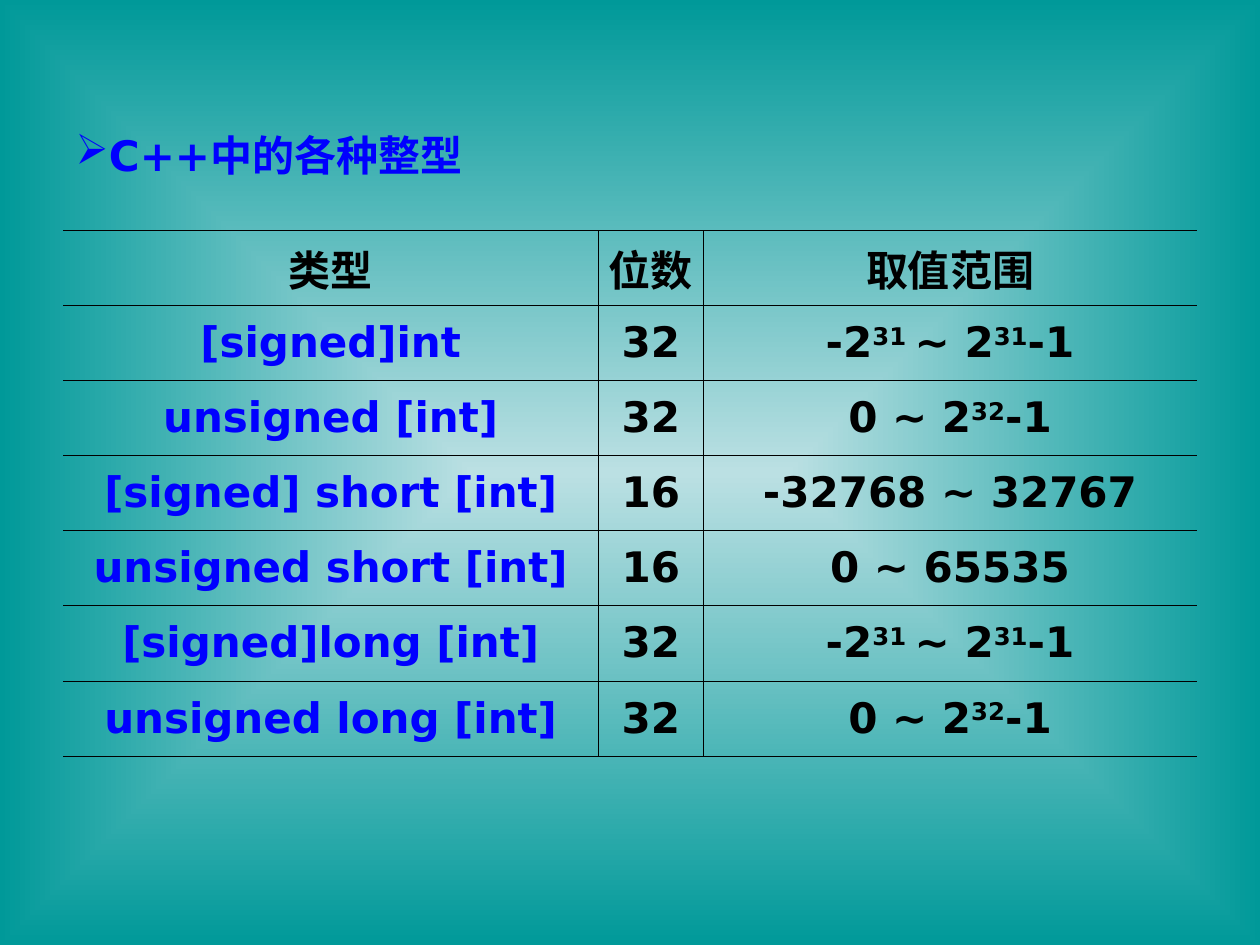
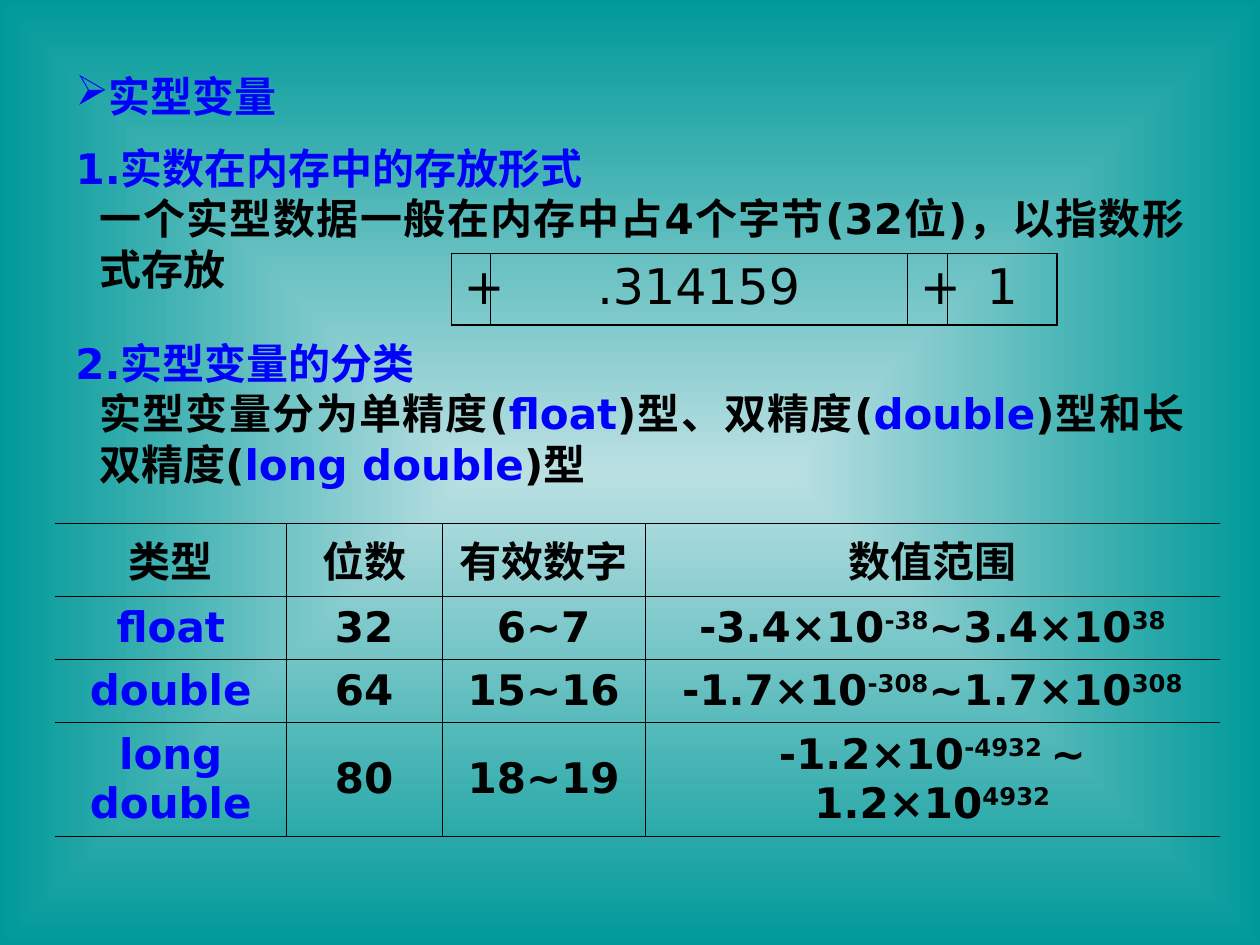
from lxml import etree
from pptx import Presentation
from pptx.dml.color import RGBColor
from pptx.enum import text as t
from pptx.oxml.ns import qn
from pptx.util import Inches, Pt

FONT = "DejaVu Sans"
BLACK, BLUE = "000000", "0000FF"
CENTER_TINT, EDGE_TEAL = "BBE0E3", "009999"
NO_STYLE_TABLE = "{2D5ABB26-0587-4C30-8999-92F81FD0307C}"


def rgb(value):
    return RGBColor.from_string(value)


def inches(box):
    return [Inches(length) for length in box]


def child(parent, tag, **attributes):
    return etree.SubElement(parent, qn(tag), attributes)


def style(paragraph, color=BLACK, size=24, bold=True):
    font = paragraph.font
    font.name, font.size, font.bold = FONT, Pt(size), bold
    font.color.rgb = rgb(color)


def paint_background(master):
    fill = master.background.fill
    fill.gradient()
    for stop, color in zip(fill.gradient_stops, (CENTER_TINT, EDGE_TEAL)):
        stop.color.rgb = rgb(color)
    gradient = master.element.find(".//" + qn("p:bg")).find(".//" + qn("a:gradFill"))
    gradient.remove(gradient.find(qn("a:lin")))
    path = child(gradient, "a:path", path="rect")
    child(path, "a:fillToRect", **dict.fromkeys("ltrb", "50000"))


def place(shape, box):
    shape.left, shape.top, shape.width, shape.height = inches(box)


def add_heading(slide, box, words):
    title = slide.shapes.title
    place(title, box)
    frame = title.text_frame
    frame.auto_size = t.MSO_AUTO_SIZE.NONE
    frame.vertical_anchor = t.MSO_ANCHOR.MIDDLE
    frame.text = words
    heading = frame.paragraphs[0]
    properties = heading._p.get_or_add_pPr()
    child(child(properties, "a:buClr"), "a:srgbClr", val=BLUE)
    child(properties, "a:buChar", char="➢")
    heading.alignment = t.PP_ALIGN.LEFT
    style(heading, BLUE)


def fill_section(frame, heading, detail):
    frame.word_wrap = True
    frame.auto_size = t.MSO_AUTO_SIZE.NONE
    lines = frame.paragraphs[0], frame.add_paragraph()
    for line, words, color, hanging in zip(lines, (heading, detail), (BLUE, BLACK), (-0.19, 0)):
        properties = line._p.get_or_add_pPr()
        properties.set("marL", str(Inches(0.19)))
        properties.set("indent", str(Inches(hanging)))
        child(properties, "a:buNone")
        line.space_before = Pt(0)
        line.alignment = t.PP_ALIGN.JUSTIFY
        style(line, color)
        for index, part in enumerate(words.split("|")):
            run = line.add_run()
            run.text = part
            if index % 2:
                run.font.color.rgb = rgb(BLUE)


def set_borders(cell, open_sides, width):
    properties = cell._tc.get_or_add_tcPr()
    for side in "LRTB":
        line = child(properties, "a:ln" + side, w=str(Pt(width)))
        if side in open_sides:
            child(line, "a:noFill")
        else:
            child(child(line, "a:solidFill"), "a:srgbClr", val=BLACK)


def write_powers(paragraph, words):
    for index, part in enumerate(words.split("^")):
        if part:
            run = paragraph.add_run()
            run.text = part
            if index % 2:
                run._r.get_or_add_rPr().set("baseline", "30000")


def new_table(slide, origin, columns, heights, rows):
    box = inches((*origin, sum(columns), sum(heights)))
    table = slide.shapes.add_table(len(rows), len(columns), *box).table
    table.first_row = table.horz_banding = False
    table._tbl.tblPr.find(qn("a:tableStyleId")).text = NO_STYLE_TABLE
    for column, width in zip(table.columns, columns):
        column.width = Inches(width)
    for row, height in zip(table.rows, heights):
        row.height = Inches(height)
    for row, values in zip(table.rows, rows):
        for cell, words in zip(row.cells, values):
            write_powers(cell.text_frame.paragraphs[0], words)
            cell.text_frame.paragraphs[0].alignment = t.PP_ALIGN.CENTER
    return table


def add_type_table(slide, origin, columns, heights, rows, side_inset):
    table = new_table(slide, origin, columns, heights, rows)
    last = len(columns) - 1
    for r, row in enumerate(table.rows):
        for c, cell in enumerate(row.cells):
            cell.margin_left = cell.margin_right = Inches(side_inset)
            cell.vertical_anchor = t.MSO_ANCHOR.MIDDLE
            set_borders(cell, {0: "L", last: "R"}.get(c, ""), 0.45)
            cell.fill.background()
            style(cell.text_frame.paragraphs[0], BLUE if r and c == 0 else BLACK)


def add_storage_strip(slide, origin, columns, height, parts):
    table = new_table(slide, origin, columns, [height], [parts])
    for cell in table.rows[0].cells:
        set_borders(cell, "", 0.75)
        cell.fill.background()
        style(cell.text_frame.paragraphs[0], size=28, bold=False)


def integer_slide(prs):
    slide = prs.slides.add_slide(prs.slide_layouts[5])
    add_heading(slide, (0.5, 0.98, 9, 0.5), "C++中的各种整型")
    signed_range, unsigned_range = "-2^31 ^~ 2^31^-1", "0 ~ 2^32^-1"
    rows = [
        ("类型", "位数", "取值范围"),
        ("[signed]int", "32", signed_range),
        ("unsigned [int]", "32", unsigned_range),
        ("[signed] short [int]", "16", "-32768 ~ 32767"),
        ("unsigned short [int]", "16", "0 ~ 65535"),
        ("[signed]long [int]", "32", signed_range),
        ("unsigned long [int]", "32", unsigned_range),
    ]
    heights = [4.17 / len(rows)] * len(rows)
    add_type_table(slide, (0.5, 1.83), (4.25, 0.83, 3.92), heights, rows, 0.04)


def real_slide(prs):
    slide = prs.slides.add_slide(prs.slide_layouts[1])
    add_heading(slide, (0.5, 0.51, 9, 0.5), "实型变量")
    storage = slide.placeholders[1]
    place(storage, (0.5, 1.08, 9, 1.3))
    fill_section(storage.text_frame, "1.实数在内存中的存放形式",
                 "一个实型数据一般在内存中占4个字节(32位)，以指数形式存放")
    classes = slide.shapes.add_textbox(*inches((0.5, 2.63, 9, 1.3)))
    fill_section(classes.text_frame, "2.实型变量的分类",
                 "实型变量分为单精度(|float|)型、双精度(|double|)型和长双精度(|long double|)型")
    rows = [
        ("类型", "位数", "有效数字", "数值范围"),
        ("float", "32", "6~7", "-3.4×10^-38^~3.4×10^38"),
        ("double", "64", "15~16", "-1.7×10^-308^~1.7×10^308"),
        ("long double", "80", "18~19", "-1.2×10^-4932 ^~ 1.2×10^4932"),
    ]
    add_type_table(slide, (0.44, 4.15), (1.83, 1.24, 1.61, 4.56), (0.5, 0.5, 0.5, 0.9), rows, 0.1)
    add_storage_strip(slide, (3.58, 2.01), (0.31, 3.31, 0.32, 0.87), 0.57,
                      ("+", ".314159", "+", "1"))


def main():
    prs = Presentation()
    prs.slide_width, prs.slide_height = Inches(10), Inches(7.5)
    paint_background(prs.slide_master)
    integer_slide(prs)
    real_slide(prs)
    prs.save("out.pptx")


if __name__ == "__main__":
    main()
